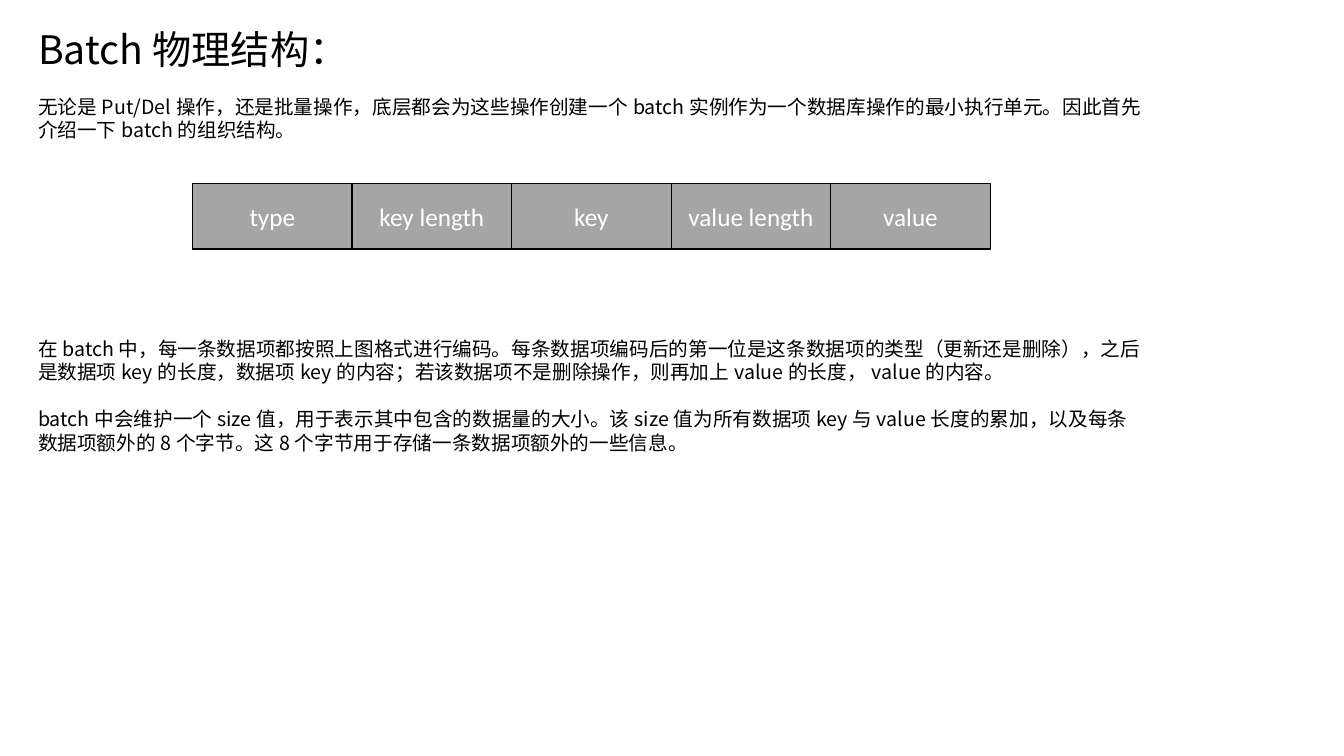
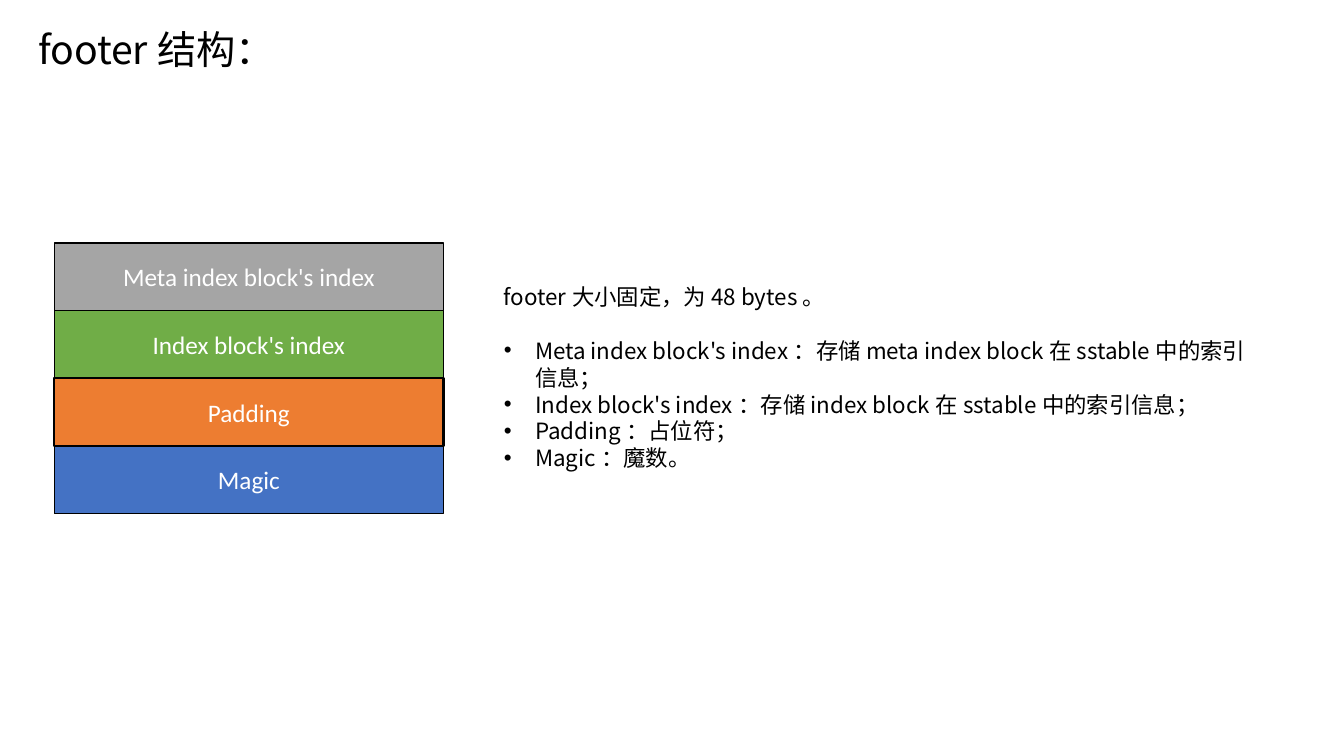
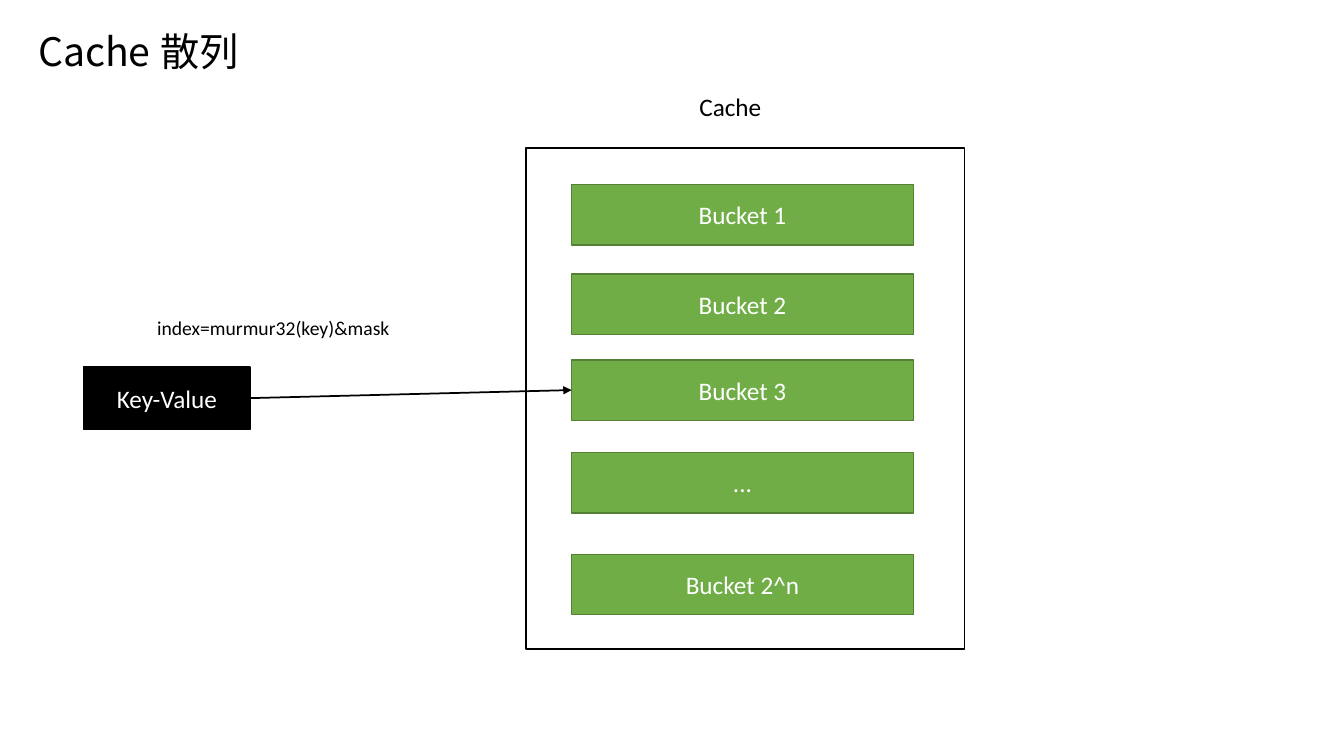
import pptx
import pptx.util
import pptx.dml.color
import pptx.enum.shapes
import pptx.enum.text
import pptx.oxml
import pptx.oxml.ns

RGBColor = pptx.dml.color.RGBColor
BLACK = RGBColor(0x00, 0x00, 0x00)
WHITE = RGBColor(0xFF, 0xFF, 0xFF)
GREY = RGBColor(0xA5, 0xA5, 0xA5)
GREEN = RGBColor(0x70, 0xAD, 0x47)
DARK_GREEN = RGBColor(0x53, 0x80, 0x35)
ORANGE = RGBColor(0xED, 0x7D, 0x31)
BLUE = RGBColor(0x44, 0x72, 0xC4)

BODY_FONT = "Noto Sans CJK JP"
LABEL_FONT = "Calibri"
LINE_HEIGHT = 1.2  # body line pitch as a multiple of the text size
BULLET_INDENT = pptx.util.Inches(0.31)

WIDTH = pptx.util.Inches(13.33)
HEIGHT = pptx.util.Inches(7.5)
MARGIN = 2.1  # left edge of titles and body text, percent of the width


def area(left, top, width, height):
    """Turn percentages of the slide's size into lengths."""
    return (int(WIDTH * left / 100), int(HEIGHT * top / 100),
            int(WIDTH * width / 100), int(HEIGHT * height / 100))


def add_child(parent, tag, **attributes):
    child = pptx.oxml.ns.qn(tag)
    element = parent.makeelement(child, attributes)
    parent.append(element)
    return element


def add_run(paragraph, text, size, font, color):
    run = paragraph.add_run()
    run.text = text
    run.font.size = pptx.util.Pt(size)
    run.font.color.rgb = color
    run.font.name = font
    add_child(run.font._element, "a:ea", typeface=font)


def add_bullet(paragraph):
    properties = paragraph._p.get_or_add_pPr()
    properties.set("marL", str(BULLET_INDENT))
    properties.set("indent", str(-BULLET_INDENT))
    add_child(properties, "a:buFont", typeface="Arial")
    add_child(properties, "a:buChar", char="•")


def add_text(slide, place, texts, size, font=BODY_FONT, bullets=False):
    """Text box; the second paragraph stands one line apart, bullets follow the first."""
    frame = slide.shapes.add_textbox(*area(*place)).text_frame
    frame.word_wrap = True
    for index, text in enumerate(texts):
        paragraph = frame.add_paragraph() if index else frame.paragraphs[0]
        if font == BODY_FONT:
            paragraph.line_spacing = pptx.util.Pt(size * LINE_HEIGHT)
        if index == 1:
            paragraph.space_before = pptx.util.Pt(size * LINE_HEIGHT)
        if bullets and index:
            add_bullet(paragraph)
        add_run(paragraph, text, size, font, BLACK)


def add_title(slide, text, top=2.67):
    add_text(slide, (MARGIN, top, 41.63, 7.6), [text], 28)


def add_box(slide, place, text="", fill=None, line=BLACK, line_width=1):
    box = slide.shapes.add_shape(
        pptx.enum.shapes.MSO_SHAPE.FLOWCHART_PROCESS, *area(*place))
    box.shadow.inherit = False
    if fill is None:
        box.fill.background()
    else:
        box.fill.solid()
        box.fill.fore_color.rgb = fill
    box.line.color.rgb = line
    box.line.width = pptx.util.Pt(line_width)
    if text:
        box.text_frame.vertical_anchor = pptx.enum.text.MSO_ANCHOR.MIDDLE
        paragraph = box.text_frame.paragraphs[0]
        paragraph.alignment = pptx.enum.text.PP_ALIGN.CENTER
        add_run(paragraph, text, 18, LABEL_FONT, WHITE)
    return box


def add_arrow(slide, source, target):
    """Arrow from the right side of one box to the left side of another."""
    arrow = slide.shapes.add_connector(
        pptx.enum.shapes.MSO_CONNECTOR.STRAIGHT, 0, 0, 0, 0)
    arrow.begin_connect(source, 3)
    arrow.end_connect(target, 1)
    arrow.line.color.rgb = BLACK
    arrow.line.width = pptx.util.Pt(1.25)
    add_child(arrow.line._get_or_add_ln(), "a:tailEnd", type="triangle")
    add_child(arrow._element.spPr, "a:effectLst")


def build_batch(slide):
    add_title(slide, "Batch物理结构：")
    add_text(slide, (MARGIN, 11.87, 83.85, 7.6), [
        "无论是Put/Del操作，还是批量操作，底层都会为这些操作创建一个batch实例"
        "作为一个数据库操作的最小执行单元。因此首先介绍一下batch的组织结构。"], 14)

    # Record layout, one column per field
    field_width = 11.87
    fields = ["type", "key length", "key", "value length", "value"]
    for column, field in enumerate(fields):
        add_box(slide, (14.33 + column * field_width, 24.27, field_width, 8.67),
                field, GREY)

    add_text(slide, (MARGIN, 43.87, 83.85, 17.07), [
        "在batch中，每一条数据项都按照上图格式进行编码。每条数据项编码后的第一位是"
        "这条数据项的类型（更新还是删除），之后是数据项key的长度，数据项key的内容；"
        "若该数据项不是删除操作，则再加上value的长度，value的内容。",
        "batch中会维护一个size值，用于表示其中包含的数据量的大小。该size值为所有数据项"
        "key与value长度的累加，以及每条数据项额外的8个字节。"
        "这8个字节用于存储一条数据项额外的一些信息。"], 14)


def build_footer(slide):
    add_title(slide, "footer结构：")

    # Stacked sections
    section_height = 8.95
    sections = [("Meta index block's index", GREY, 1),
                ("Index block's index", GREEN, 1),
                ("Padding", ORANGE, 1.5),
                ("Magic", BLUE, 1)]
    for row, (name, fill, line_width) in enumerate(sections):
        add_box(slide, (4.05, 32.13 + row * section_height, 28.95, section_height),
                name, fill, line_width=line_width)

    add_text(slide, (36.75, 36.8, 56.78, 26.4), [
        "footer大小固定，为48 bytes。",
        "Meta index block's index：存储meta index block在sstable中的索引信息；",
        "Index block's index：存储index block在sstable中的索引信息；",
        "Padding：占位符；",
        "Magic：魔数。"], 16, bullets=True)


def build_cache(slide):
    add_title(slide, "Cache散列", top=2.93)
    key_value = add_box(slide, (6.23, 48.53, 12.38, 8.27), "Key-Value", BLACK)

    # Buckets inside the cache frame
    bucket_tops = {"Bucket 1": 24.4, "Bucket 2": 36.27, "Bucket 3": 47.6,
                   "...": 59.87, "Bucket 2^n": 73.33}
    buckets = {name: add_box(slide, (42.53, top, 25.43, 8), name, GREEN, DARK_GREEN)
               for name, top in bucket_tops.items()}
    add_box(slide, (39.15, 19.6, 32.63, 66.27))
    add_text(slide, (51.3, 11.47, 7.95, 5.33), ["Cache"], 18, LABEL_FONT)

    # Hash lookup
    add_arrow(slide, key_value, buckets["Bucket 3"])
    add_text(slide, (10.95, 41.07, 23.78, 4.53), ["index=murmur32(key)&mask"],
             14, LABEL_FONT)


def main():
    presentation = pptx.Presentation()
    presentation.slide_width = WIDTH
    presentation.slide_height = HEIGHT
    blank_layout = presentation.slide_layouts[6]
    for build in (build_batch, build_footer, build_cache):
        build(presentation.slides.add_slide(blank_layout))
    presentation.save("out.pptx")


if __name__ == "__main__":
    main()
